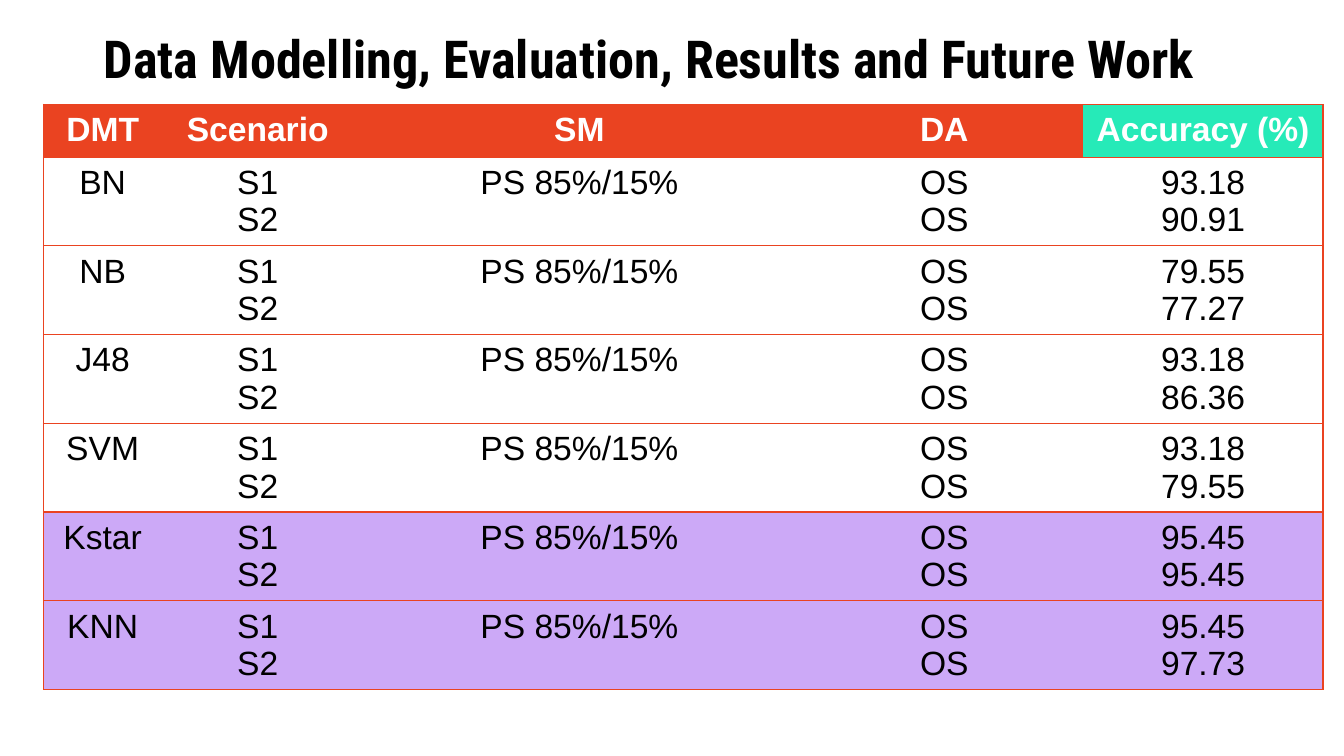
from lxml import etree
from pptx import Presentation
from pptx.dml.color import RGBColor
from pptx.enum import text
from pptx.oxml import ns
from pptx.util import Pt

RED, TEAL, PURPLE, WHITE, BLACK = "EA4321", "26EAB8", "CCA9F7", "FFFFFF", "000000"


def add_run(p, content, size, font, color, bold):
    p.alignment = text.PP_ALIGN.CENTER
    r = p.add_run()
    r.text = content
    r.font.size = Pt(size)
    r.font.name = font
    r.font.bold = bold
    r.font.color.rgb = RGBColor.from_string(color)


def add_border(cell, side, color):
    ln = etree.SubElement(cell._tc.get_or_add_tcPr(), ns.qn(f"a:ln{side}"), w=str(Pt(0.75)))
    if color:
        fill = etree.SubElement(ln, ns.qn("a:solidFill"))
        etree.SubElement(fill, ns.qn("a:srgbClr"), val=color)
    else:
        etree.SubElement(ln, ns.qn("a:noFill"))


prs = Presentation()
prs.slide_width, prs.slide_height = Pt(720), Pt(405)
s = prs.slides.add_slide(prs.slide_layouts[6])

title = s.shapes.add_textbox(Pt(23.5), Pt(16.2), Pt(648), Pt(29.5))
tf = title.text_frame
tf.word_wrap = True
tf.vertical_anchor = text.MSO_ANCHOR.MIDDLE
tf.margin_left = tf.margin_right = tf.margin_top = tf.margin_bottom = Pt(7.2)
add_run(tf.paragraphs[0], "Data Modelling, Evaluation, Results and Future Work", 28, "Roboto Condensed", BLACK, True)

models = [
    ("BN", "93.18", "90.91"),
    ("NB", "79.55", "77.27"),
    ("J48", "93.18", "86.36"),
    ("SVM", "93.18", "79.55"),
    ("Kstar", "95.45", "95.45"),
    ("KNN", "95.45", "97.73"),
]
rows = [[["DMT"], ["Scenario"], ["SM"], ["DA"], ["Accuracy (%)"]]]
for name, *accuracy in models:
    rows.append([[name], ["S1", "S2"], ["PS 85%/15%"], ["OS", "OS"], accuracy])

widths = [63.4, 102.8, 241.9, 149, 128.4]
heights = [28.2] + [47.55] * len(models)

frame = s.shapes.add_table(len(rows), len(widths), Pt(23.3), Pt(56), Pt(sum(widths)), Pt(sum(heights)))
table = frame.table
table.horz_banding = False
for column, width in zip(table.columns, widths):
    column.width = Pt(width)

for i, row in enumerate(rows):
    table.rows[i].height = Pt(heights[i])
    header = i == 0
    for j, lines in enumerate(row):
        cell = table.cell(i, j)
        cell.margin_left = cell.margin_right = Pt(5)
        cell.margin_bottom = Pt(0)
        add_border(cell, "L", RED if j == 0 else None)
        add_border(cell, "R", RED if j == len(row) - 1 else None)
        add_border(cell, "T", RED)
        add_border(cell, "B", RED)
        if header:
            fill = TEAL if j == len(row) - 1 else RED
        else:
            fill = PURPLE if i >= 5 else WHITE
        cell.fill.solid()
        cell.fill.fore_color.rgb = RGBColor.from_string(fill)
        tf = cell.text_frame
        for k, line in enumerate(lines):
            p = tf.add_paragraph() if k else tf.paragraphs[0]
            add_run(p, line, 18, "Arial", WHITE if header else BLACK, header)

prs.save("out.pptx")
